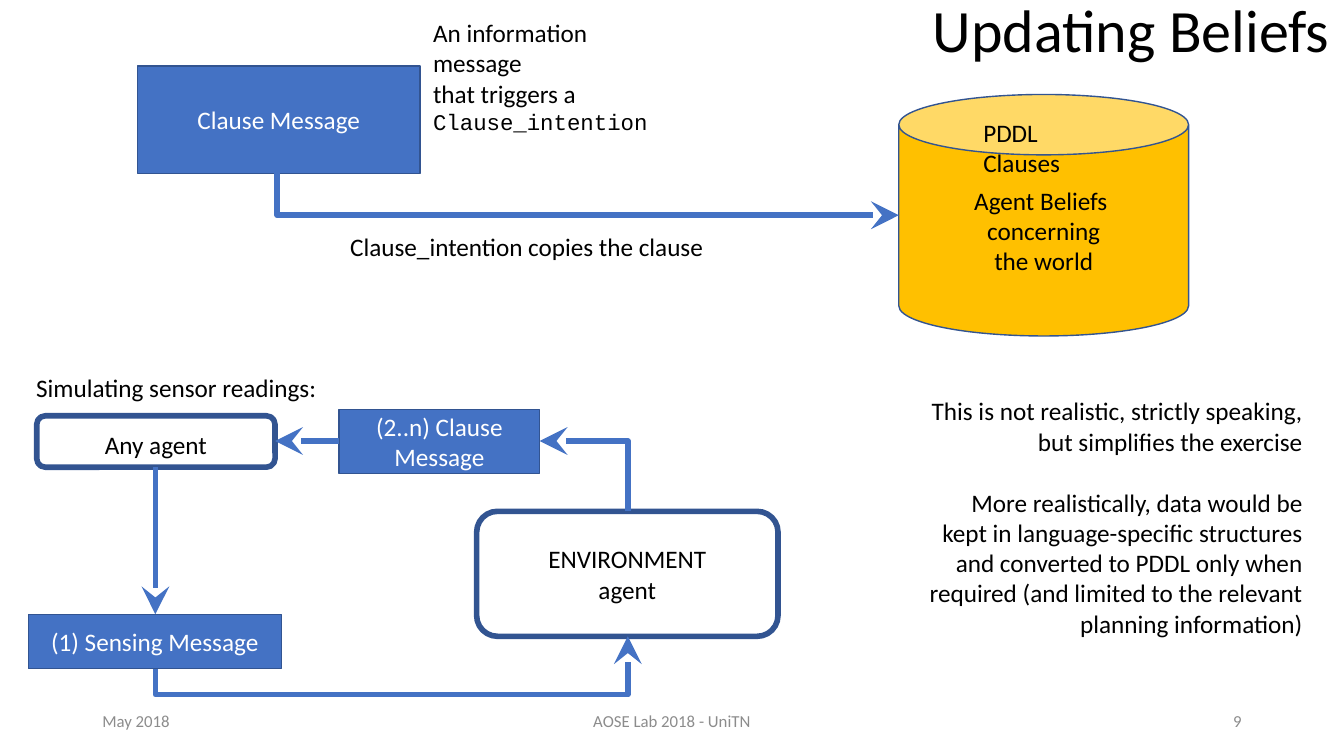
from lxml.etree import SubElement
from pptx import Presentation
from pptx.dml.color import RGBColor
from pptx.enum.shapes import MSO_CONNECTOR as LINK, MSO_SHAPE as SHAPE
from pptx.enum.text import MSO_ANCHOR as ANCHOR, PP_ALIGN as ALIGN
from pptx.oxml.ns import qn
from pptx.util import Pt

PX = 9525
COLORS = {
    "black": "000000", "white": "FFFFFF", "gray": "8C8C8C",
    "blue": "4472C4", "navy": "325491", "gold": "FFC000",
}


def color(name):
    """Return the named colour."""
    return RGBColor.from_string(COLORS[name])


def write(frame, text, ink="black", size=18, align=ALIGN.LEFT, anchor=ANCHOR.TOP):
    """Fill a text frame and format every run."""
    frame.text = text
    frame.vertical_anchor = anchor
    for paragraph in frame.paragraphs:
        paragraph.alignment = align
        for run in paragraph.runs:
            run.font.name = "Calibri"
            run.font.size = Pt(size)
            run.font.color.rgb = color(ink)


def add_label(slide, box, text, wrap=True, **style):
    """Add free text and return its frame."""
    frame = slide.shapes.add_textbox(*(n * PX for n in box)).text_frame
    frame.word_wrap = wrap
    write(frame, text, **style)
    return frame


def add_node(slide, kind, box, text, fill=None, ink="black", border=1, anchor=ANCHOR.MIDDLE):
    """Add an outlined shape with centred text."""
    node = slide.shapes.add_shape(kind, *(n * PX for n in box))
    node.shadow.inherit = False
    if fill:
        node.fill.solid()
        node.fill.fore_color.rgb = color(fill)
    else:
        node.fill.background()
    node.line.color.rgb = color("navy")
    node.line.width = Pt(border)
    write(node.text_frame, text, ink, align=ALIGN.CENTER, anchor=anchor)


def add_message(slide, box, text):
    """Add a solid blue message box."""
    add_node(slide, SHAPE.RECTANGLE, box, text, "blue", "white")


def add_agent(slide, box, text, anchor=ANCHOR.MIDDLE):
    """Add a rounded agent box with a heavy outline."""
    add_node(slide, SHAPE.ROUNDED_RECTANGLE, box, text, border=4, anchor=anchor)


def add_arrow(slide, start, end, kind=LINK.STRAIGHT):
    """Add a heavy blue arrow between two points."""
    arrow = slide.shapes.add_connector(kind, *(round(n * PX) for n in (*start, *end)))
    arrow.line.color.rgb = color("blue")
    arrow.line.width = Pt(4)
    properties = arrow._element.spPr
    SubElement(properties.find(qn("a:ln")), qn("a:tailEnd"), type="stealth", w="lg", len="lg")
    SubElement(properties, qn("a:effectLst"))
    return arrow


def add_elbow(slide, start, end, preset, turn, flips, bend=None):
    """Add a bent arrow that leaves its start vertically."""
    middle_x, middle_y = (start[0] + end[0]) / 2, (start[1] + end[1]) / 2
    half_x, half_y = abs(end[1] - start[1]) / 2, abs(end[0] - start[0]) / 2
    arrow = add_arrow(slide, (middle_x - half_x, middle_y - half_y),
                      (middle_x + half_x, middle_y + half_y), LINK.ELBOW)
    properties = arrow._element.spPr
    frame = properties.find(qn("a:xfrm"))
    frame.set("rot", str(turn * 60000))
    for flip in flips:
        frame.set("flip" + flip, "1")
    geometry = properties.find(qn("a:prstGeom"))
    geometry.set("prst", preset)
    if bend is not None:
        SubElement(geometry.find(qn("a:avLst")), qn("a:gd"), name="adj1", fmla=f"val {bend}")


def add_clause_flow(slide):
    """Draw the clause message reaching the belief store."""
    add_message(slide, (131, 63, 269, 102), "Clause Message")
    trigger = add_label(slide, (403, 12, 229, 123),
                        "An information message\nthat triggers a ")
    intention = trigger.paragraphs[1].add_run()
    intention.text = "Clause_intention"
    intention.font.name = "Courier New"
    intention.font.size = Pt(16)
    intention.font.color.rgb = color("black")
    add_node(slide, SHAPE.CAN, (856, 90, 276, 230),
             "Agent Beliefs \nconcerning\nthe world", "gold")
    add_label(slide, (927, 107, 134, 31), "PDDL Clauses")
    add_elbow(slide, (264, 165), (856, 205), "bentConnector2", 270, "H")
    add_label(slide, (324, 216, 436, 38), "Clause_intention copies the clause")


def add_sensor_loop(slide):
    """Draw the simulated sensor readings cycle."""
    add_label(slide, (25, 350, 290, 38), "Simulating sensor readings:", wrap=False)
    add_message(slide, (27, 585, 241, 52), "(1) Sensing Message")
    add_message(slide, (323, 390, 191, 61), "(2..n) Clause Message")
    add_agent(slide, (454, 487, 287, 119), "ENVIRONMENT\nagent")
    add_agent(slide, (35, 396, 227, 49), "Any agent", ANCHOR.BOTTOM)
    add_arrow(slide, (148, 445), (148, 585))
    add_elbow(slide, (148, 637), (598, 606), "bentConnector3", 90, "HV", -79400)
    add_elbow(slide, (598, 487), (514, 420), "bentConnector2", 270, "V")
    add_arrow(slide, (323, 420), (262, 420))


def add_remarks(slide):
    """Add the right-aligned comments on realism."""
    remarks = add_label(
        slide, (873, 372, 377, 242),
        "This is not realistic, strictly speaking, but simplifies the exercise\n"
        "More realistically, data would be kept in language-specific structures and "
        "converted to PDDL only when required (and limited to the relevant "
        "planning information)", align=ALIGN.RIGHT)
    remarks.paragraphs[1].space_before = Pt(22)


def add_footer(slide):
    """Add the date, course and page number."""
    for left, width, text, align in (
        (88, 288, "May 2018", ALIGN.LEFT),
        (424, 432, "AOSE Lab 2018 - UniTN", ALIGN.CENTER),
        (904, 288, "9", ALIGN.RIGHT),
    ):
        add_label(slide, (left, 667, width, 38), text, ink="gray", size=12,
                  align=align, anchor=ANCHOR.MIDDLE)


def main():
    """Build and save the slide."""
    deck = Presentation()
    deck.slide_width, deck.slide_height = 1280 * PX, 720 * PX
    slide = deck.slides.add_slide(deck.slide_layouts[6])
    add_clause_flow(slide)
    add_remarks(slide)
    add_sensor_loop(slide)
    add_footer(slide)
    title = add_label(slide, (879, -4, 406, 110), "Updating Beliefs", size=42.9)
    title.paragraphs[0].line_spacing = 0.9
    deck.save("out.pptx")


if __name__ == "__main__":
    main()
